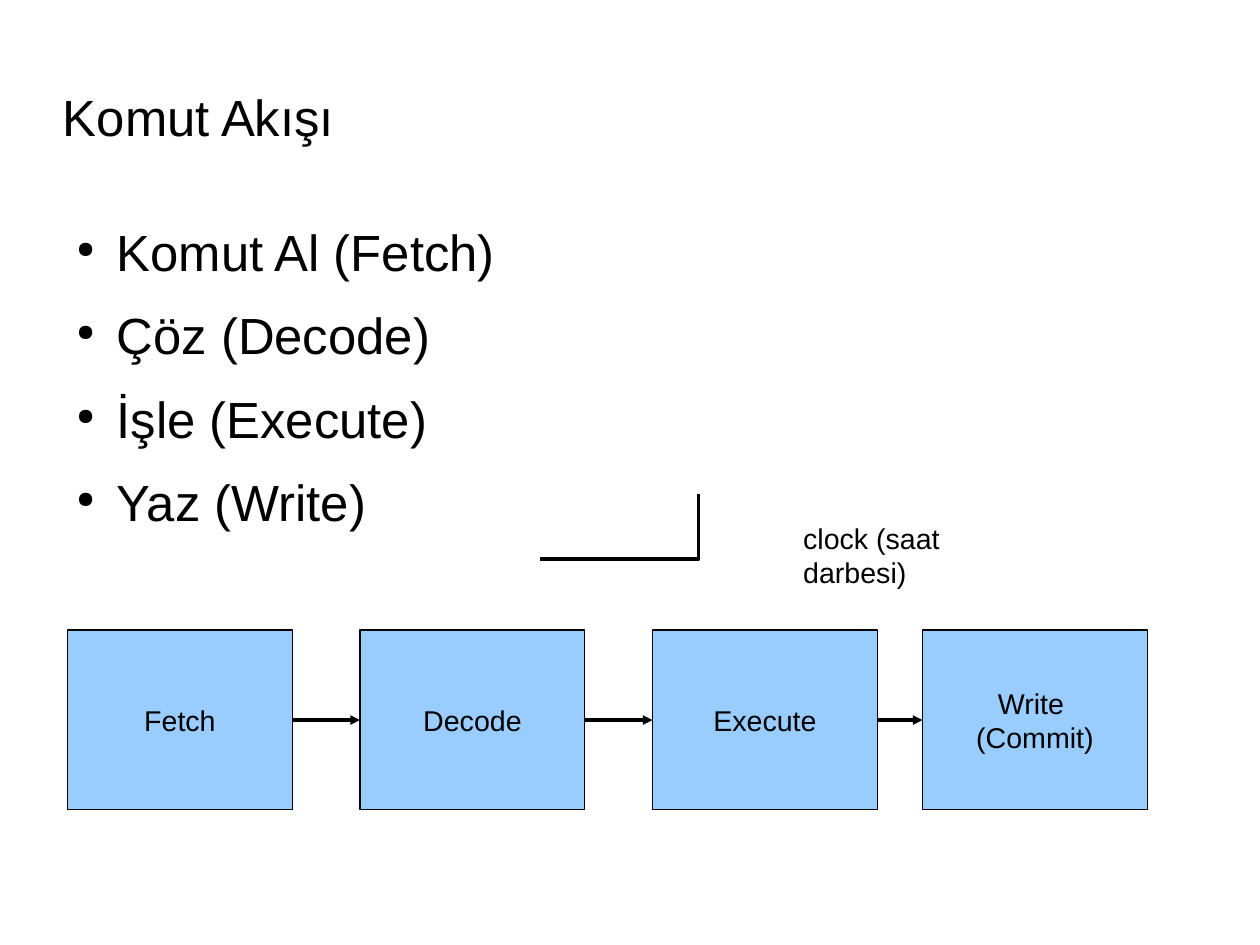
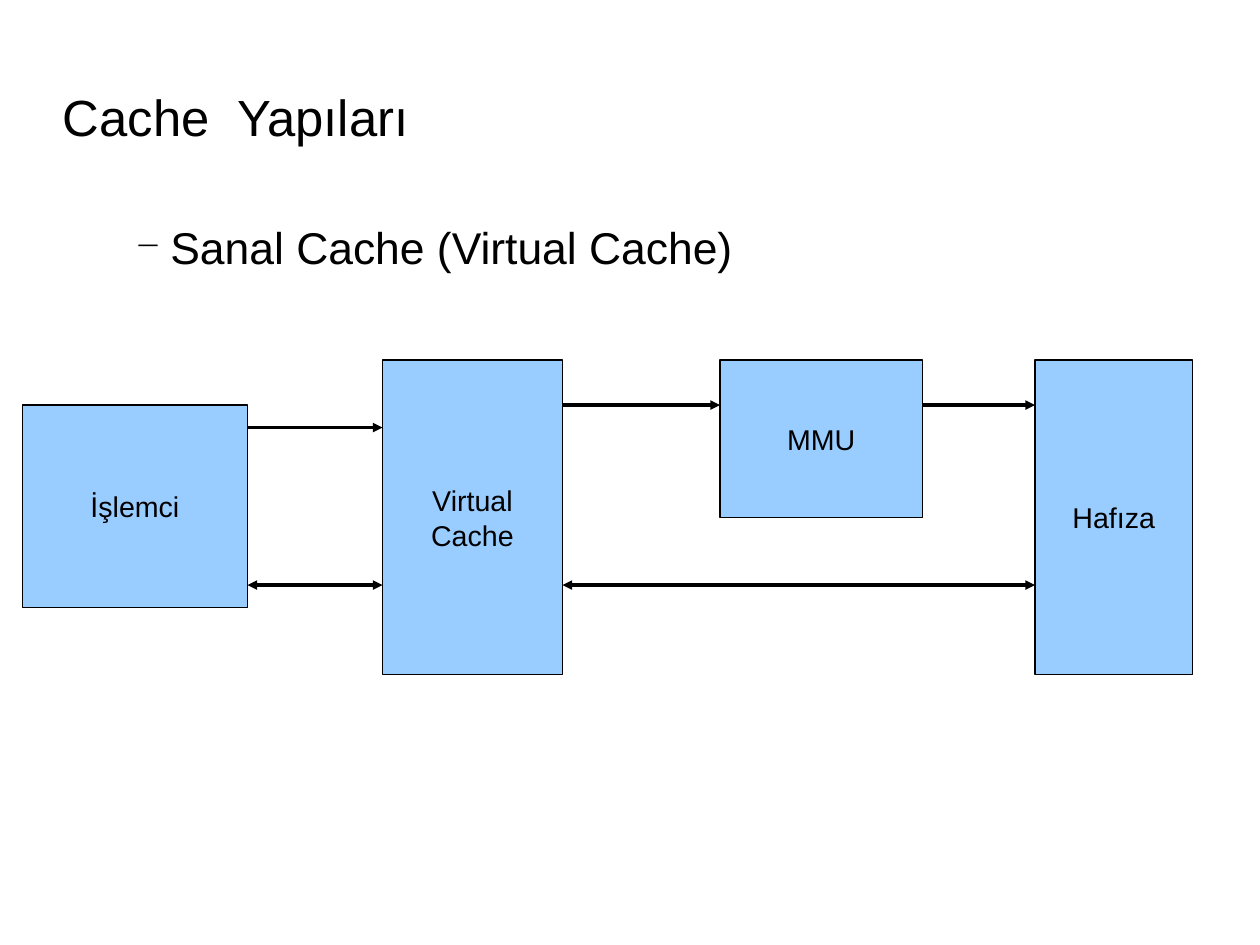
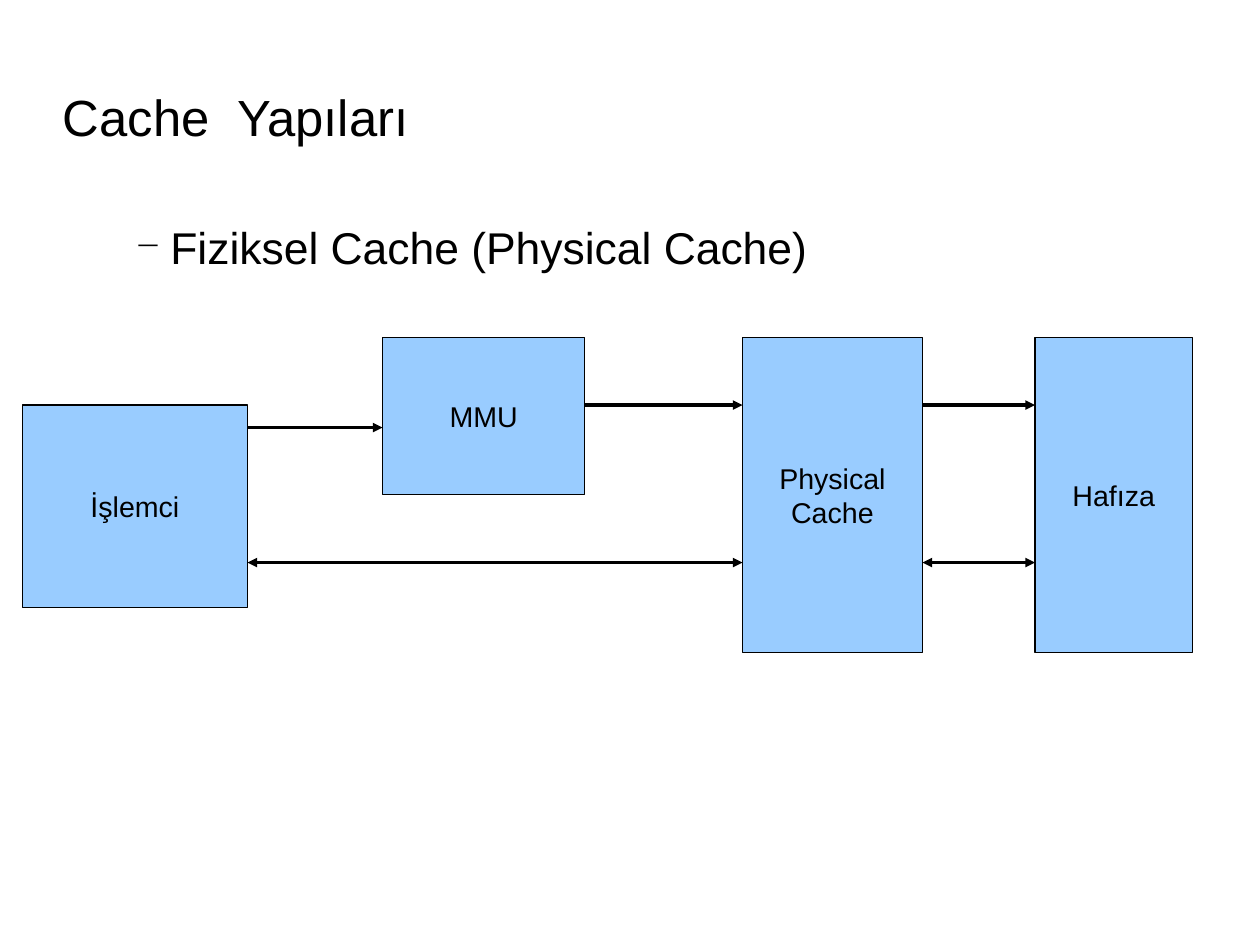
from lxml.etree import SubElement
from pptx import Presentation
from pptx.dml.color import RGBColor
from pptx.enum.shapes import MSO_CONNECTOR, MSO_SHAPE
from pptx.enum.text import MSO_ANCHOR, MSO_AUTO_SIZE, PP_ALIGN
from pptx.oxml.ns import qn
from pptx.util import Cm, Inches, Pt

# Every position is given in grid cells of half a centimetre.
COLUMNS, ROWS = 56, 42
FONT, INK, BLOCK_FILL = "Arial", "000000", "99CCFF"
MARGIN, CONTENT_WIDTH = 0.05 * COLUMNS, 0.9 * COLUMNS
TITLE_BOX = (MARGIN, 0.04 * ROWS, CONTENT_WIDTH, 7)
LIST_BOX = (MARGIN, 9.8, CONTENT_WIDTH, 0.66 * ROWS)

# level: (text size, bullet, bullet percent, indent, hanging, space after)
LIST_LEVELS = {
    0: (32, "●", 45, 0.47, 0.35, 14.2),
    1: (28, "−", 75, 0.94, 0.31, 11.3),
}


def cells(*counts):
    return [Cm(count / 2) for count in counts]


def color(hex_text):
    return RGBColor.from_string(hex_text)


def add_run(paragraph, text, size):
    run = paragraph.add_run()
    run.text = text
    run.font.name, run.font.size = FONT, Pt(size)
    run.font.color.rgb = color(INK)


def paragraphs(frame, lines):
    """Yield one paragraph with its line of text for each line."""
    for index, line in enumerate(lines):
        yield (frame.add_paragraph() if index else frame.paragraphs[0]), line


def clear_insets(frame):
    frame.margin_left = frame.margin_right = 0
    frame.margin_top = frame.margin_bottom = 0
    frame.word_wrap, frame.auto_size = True, MSO_AUTO_SIZE.NONE


def titled_slide(deck, heading):
    slide = deck.slides.add_slide(deck.slide_layouts[5])
    title = slide.shapes.title
    title.left, title.top, title.width, title.height = cells(*TITLE_BOX)
    frame = title.text_frame
    clear_insets(frame)
    frame.vertical_anchor = MSO_ANCHOR.MIDDLE
    frame.paragraphs[0].alignment = PP_ALIGN.LEFT
    add_run(frame.paragraphs[0], heading, 32)
    return slide


def bullet_list(slide, lines, level=0):
    size, mark, percent, indent, hanging, after = LIST_LEVELS[level]
    frame = slide.shapes.add_textbox(*cells(*LIST_BOX)).text_frame
    clear_insets(frame)
    for paragraph, line in paragraphs(frame, lines):
        paragraph.level = level
        properties = paragraph._p.get_or_add_pPr()
        properties.set("marL", str(Inches(indent)))
        properties.set("indent", str(-Inches(hanging)))
        bullet_color = SubElement(properties, qn("a:buClr"))
        SubElement(bullet_color, qn("a:srgbClr"), val=INK)
        SubElement(properties, qn("a:buSzPct"), val=str(percent * 1000))
        SubElement(properties, qn("a:buChar"), char=mark)
        paragraph.space_after = Pt(after)
        add_run(paragraph, line, size)


def hairline(line):
    line.color.rgb = color(INK)
    line.width = 0


def block(slide, box, *label):
    rectangle = slide.shapes.add_shape(MSO_SHAPE.RECTANGLE, *cells(*box))
    rectangle.shadow.inherit = False
    rectangle.fill.solid()
    rectangle.fill.fore_color.rgb = color(BLOCK_FILL)
    hairline(rectangle.line)
    frame = rectangle.text_frame
    frame.word_wrap, frame.vertical_anchor = True, MSO_ANCHOR.MIDDLE
    for paragraph, line in paragraphs(frame, label):
        paragraph.alignment = PP_ALIGN.CENTER
        add_run(paragraph, line, 18)
    return rectangle


def connector(slide, kind, start, end):
    wire = slide.shapes.add_connector(kind, *start, *end)
    hairline(wire.line)
    SubElement(wire._element.spPr, qn("a:effectLst"))
    return wire


def arrow(slide, source, target, row=None, both_ways=False):
    """Link two blocks at a grid row, or side middle to side middle."""
    y = source.top + source.height // 2 if row is None else cells(row)[0]
    wire = connector(slide, MSO_CONNECTOR.STRAIGHT,
                     (source.left + source.width, y), (target.left, y))
    if row is None:
        wire.begin_connect(source, 3)
        wire.end_connect(target, 1)
    outline = wire.line._get_or_add_ln()
    if both_ways:
        SubElement(outline, qn("a:headEnd"), type="triangle")
    SubElement(outline, qn("a:tailEnd"), type="triangle")


def clock_signal(slide, left, top):
    """Draw the rising clock edge and its label."""
    edge = connector(slide, MSO_CONNECTOR.ELBOW,
                     cells(left, top + 2.9), cells(left + 7.05, top))
    edge._element.spPr.find(qn("a:prstGeom")).set("prst", "bentConnector2")
    label = slide.shapes.add_textbox(*cells(left + 11.2, top + 0.95, 12, 2.1))
    label.text_frame.word_wrap = False
    add_run(label.text_frame.paragraphs[0], "clock (saat darbesi)", 18)


def instruction_flow(deck):
    slide = titled_slide(deck, "Komut Akışı")
    bullet_list(slide, ["Komut Al (Fetch)", "Çöz (Decode)",
                        "İşle (Execute)", "Yaz (Write)"])
    labels = [["Fetch"], ["Decode"], ["Execute"], ["Write ", "(Commit)"]]
    stages = [block(slide, (column, 28, 10, 8), *label)
              for column, label in zip((3, 16, 29, 41), labels)]
    for source, target in zip(stages, stages[1:]):
        arrow(slide, source, target)
    clock_signal(slide, 24, 21.95)


def cache_structure(deck, topic, cache_label, top, cache_column, mmu_column):
    """Draw processor, MMU, cache and memory; requests above, data below."""
    slide = titled_slide(deck, "Cache  Yapıları")
    bullet_list(slide, [topic], level=1)
    processor = block(slide, (1, 18, 10, 9), "İşlemci")
    cache = block(slide, (cache_column, top, 8, 14), *cache_label)
    mmu = block(slide, (mmu_column, top, 9, 7), "MMU")
    memory = block(slide, (46, top, 7, 14), "Hafıza")

    first, second = sorted((cache, mmu), key=lambda part: part.left)
    arrow(slide, processor, first, 19)
    arrow(slide, first, second, 18)
    arrow(slide, second, memory, 18)
    for source, target in ((processor, cache), (cache, memory)):
        arrow(slide, source, target, top + 10, both_ways=True)


def main():
    deck = Presentation()
    deck.slide_width, deck.slide_height = cells(COLUMNS, ROWS)
    instruction_flow(deck)
    cache_structure(deck, "Sanal Cache (Virtual Cache)", ("Virtual", "Cache"),
                    top=16, cache_column=17, mmu_column=32)
    cache_structure(deck, "Fiziksel Cache (Physical Cache)",
                    ("Physical", "Cache"),
                    top=15, cache_column=33, mmu_column=17)
    deck.save("out.pptx")


if __name__ == "__main__":
    main()
